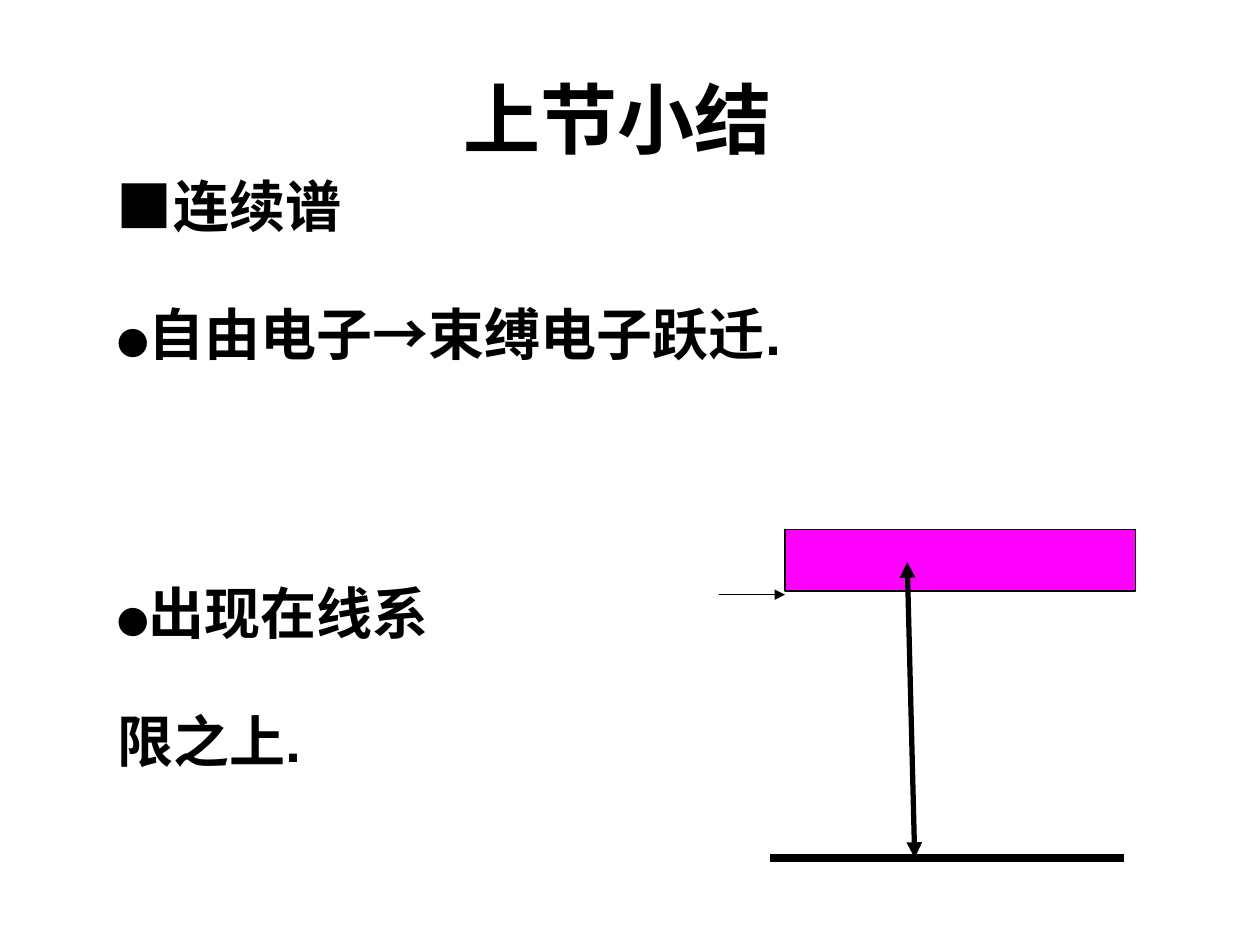
from dataclasses import dataclass
from typing import NamedTuple

from lxml.etree import SubElement as Sub
from pptx import Presentation
from pptx.dml.color import RGBColor as Color
from pptx.enum.shapes import MSO_CONNECTOR as Link, MSO_SHAPE as Kind
from pptx.enum.text import MSO_ANCHOR as Anchor, MSO_AUTO_SIZE as Fit, PP_ALIGN as Align
from pptx.oxml.ns import qn
from pptx.util import Inches, Pt


@dataclass(frozen=True)
class Theme:
    font: str = "Arial"
    ink: Color = Color(0, 0, 0)
    band: Color = Color(255, 0, 255)
    head: int = 44
    body: int = 32
    dot: int = 18
    thin: float = 0.75
    bold: float = 3
    thick: float = 4.5


class Area(NamedTuple):
    col: float
    row: float
    cols: float
    rows: float


class Run(NamedTuple):
    text: str
    size: int
    bold: bool = True


class Line(NamedTuple):
    start: tuple[float, float]
    end: tuple[float, float]
    width: float
    ends: tuple[str, ...] = ()


LOOK = Theme()
CELL = Inches(0.1)
LEFT = 8.3


def grid(*parts: float) -> list[int]:
    return [round(part * CELL) for part in parts]


def place(shape, area: Area) -> None:
    shape.left, shape.top, shape.width, shape.height = grid(*area)


def write(shape, runs: list[Run], anchor: Anchor, space: float = 1) -> None:
    frame = shape.text_frame
    frame.word_wrap = True
    frame.auto_size = Fit.SHAPE_TO_FIT_TEXT
    frame.vertical_anchor = anchor
    para = frame.paragraphs[0]
    props = para._p.get_or_add_pPr()
    props.set("marL", "0")
    props.set("indent", "0")
    Sub(props, qn("a:buNone"))
    para.alignment = Align.LEFT
    para.line_spacing = space
    para.space_before = Pt(0)
    for part in runs:
        run = para.add_run()
        run.text = part.text
        font = run.font
        font.name, font.size, font.bold = LOOK.font, Pt(part.size), part.bold
        font.color.rgb = LOOK.ink


def point(text: str) -> list[Run]:
    return [Run("●", LOOK.dot), Run(text, LOOK.body)]


def draw(group, line: Line) -> None:
    link = group.shapes.add_connector(Link.STRAIGHT, *grid(*line.start, *line.end))
    link.line.color.rgb = LOOK.ink
    link.line.width = Pt(line.width)
    stroke = link.line._get_or_add_ln()
    for end in line.ends:
        Sub(stroke, qn(f"a:{end}"), type="triangle")
    Sub(link._element.spPr, qn("a:effectLst"))


def chart(slide) -> None:
    group = slide.shapes.add_group_shape()
    band = group.shapes.add_shape(Kind.RECTANGLE, *grid(62.3, 42, 27.8, 4.9))
    band.shadow.inherit = False
    band.fill.solid()
    band.fill.fore_color.rgb = LOOK.band
    band.line.color.rgb = LOOK.ink
    band.line.width = Pt(LOOK.thin)
    base = 68.1
    lines = [
        Line((61.1, base), (89.2, base), LOOK.thick),
        Line((57.1, 47.2), (62.3, 47.2), LOOK.thin, ("tailEnd",)),
        Line((72, 44.6), (72.6, base), LOOK.bold, ("headEnd", "tailEnd")),
    ]
    for line in lines:
        draw(group, line)


def main() -> None:
    deck = Presentation()
    deck.slide_width, deck.slide_height = grid(100, 75)
    slide = deck.slides.add_slide(deck.slide_layouts[3])
    title = slide.shapes.title
    first, last = slide.placeholders[1], slide.placeholders[2]
    topic = slide.shapes.add_textbox(*grid(LEFT, 13.1, 19.8, 6.3))

    place(title, Area(35.8, 5.2, 27.6, 8.3))
    place(first, Area(LEFT, 23.3, 54.6, 6.3))
    place(last, Area(LEFT, 40.6, 29.1, 21.2))

    write(title, [Run("上节小结", LOOK.head)], Anchor.TOP)
    write(topic, [Run("■", LOOK.body, False), Run("连续谱", LOOK.body)], Anchor.MIDDLE)
    write(first, point("自由电子→束缚电子跃迁."), Anchor.MIDDLE)
    write(last, point("出现在线系限之上."), Anchor.TOP, 1.9)
    chart(slide)
    deck.save("out.pptx")


if __name__ == "__main__":
    main()
